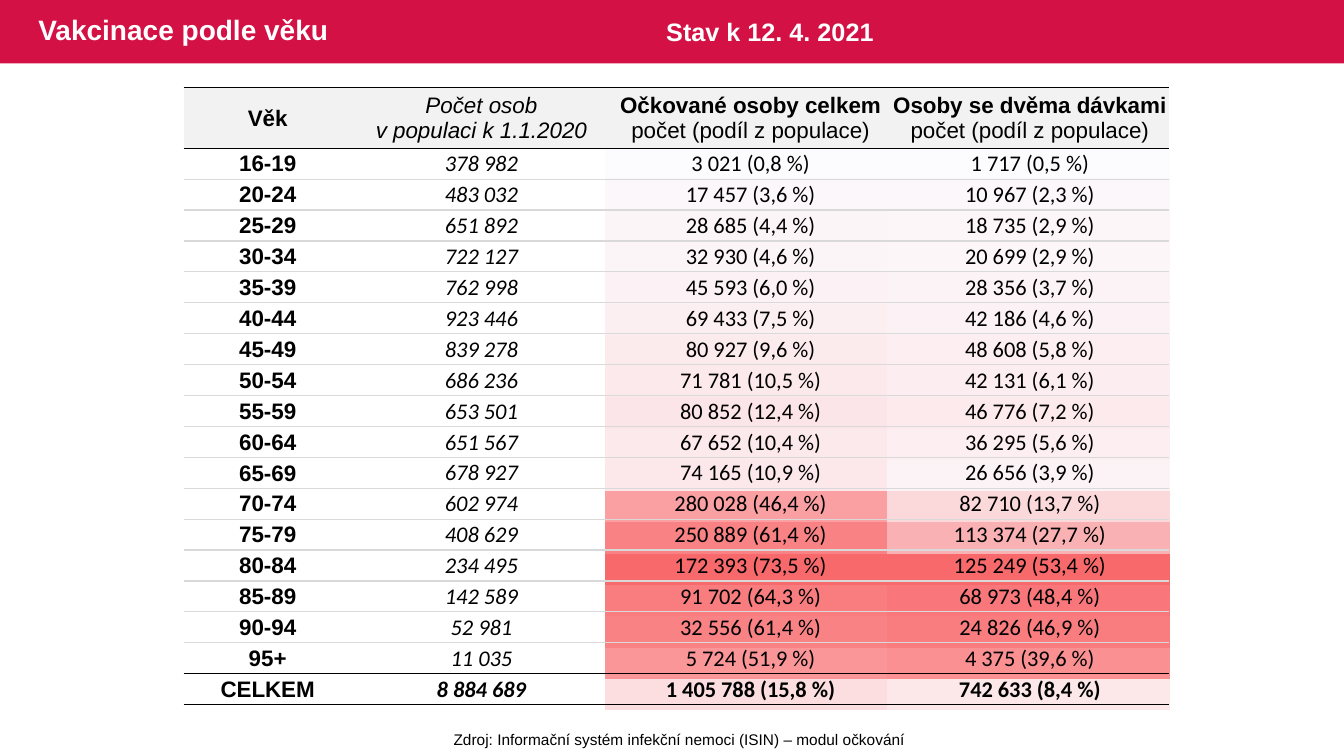
from dataclasses import dataclass

from lxml import etree
from pptx import Presentation
from pptx.dml.color import RGBColor
from pptx.enum import shapes, text
from pptx.oxml import ns
from pptx.util import Inches, Pt


@dataclass(frozen=True)
class Theme:
    red: str = "D31145"
    white: str = "FFFFFF"
    black: str = "000000"
    head: str = "F2F2F2"
    rule: str = "D9D9D9"
    sans: str = "Arial"
    digit: str = "Calibri"
    title: int = 20
    date: int = 18
    cell: int = 16
    note: int = 11


THEME = Theme()
PLAIN = "{2D5ABB26-0587-4C30-8999-92F81FD0307C}"  # table style without grid
ROW = 0.307

# Each heading line: text, bold, italic
HEADS = [
    [("Věk", True, False)],
    [("Počet osob", False, True), ("v populaci k 1.1.2020", False, True)],
    [("Očkované osoby celkem", True, False), ("počet (podíl z populace)", False, False)],
    [("Osoby se dvěma dávkami", True, False), ("počet (podíl z populace)", False, False)],
]

# Age, population, vaccinated, two doses, and the heat colours of the last two
AGES = [
    ("16-19", "378 982", "3 021 (0,8 %)", "1 717 (0,5 %)", "FCFCFF", "FCFCFF"),
    ("20-24", "483 032", "17 457 (3,6 %)", "10 967 (2,3 %)", "FCF7FA", "FCF7FA"),
    ("25-29", "651 892", "28 685 (4,4 %)", "18 735 (2,9 %)", "FCF5F8", "FCF6F9"),
    ("30-34", "722 127", "32 930 (4,6 %)", "20 699 (2,9 %)", "FCF5F8", "FCF6F9"),
    ("35-39", "762 998", "45 593 (6,0 %)", "28 356 (3,7 %)", "FCF2F5", "FCF3F6"),
    ("40-44", "923 446", "69 433 (7,5 %)", "42 186 (4,6 %)", "FCEFF2", "FCF1F4"),
    ("45-49", "839 278", "80 927 (9,6 %)", "48 608 (5,8 %)", "FCEBED", "FCEEF1"),
    ("50-54", "686 236", "71 781 (10,5 %)", "42 131 (6,1 %)", "FCE9EC", "FCEDF0"),
    ("55-59", "653 501", "80 852 (12,4 %)", "46 776 (7,2 %)", "FCE5E8", "FCEAED"),
    ("60-64", "651 567", "67 652 (10,4 %)", "36 295 (5,6 %)", "FCE9EC", "FCEEF1"),
    ("65-69", "678 927", "74 165 (10,9 %)", "26 656 (3,9 %)", "FCE8EB", "FCF3F6"),
    ("70-74", "602 974", "280 028 (46,4 %)", "82 710 (13,7 %)", "FAA0A3", "FBD8DA"),
    ("75-79", "408 629", "250 889 (61,4 %)", "113 374 (27,7 %)", "F98284", "FAB1B3"),
    ("80-84", "234 495", "172 393 (73,5 %)", "125 249 (53,4 %)", "F8696B", "F8696B"),
    ("85-89", "142 589", "91 702 (64,3 %)", "68 973 (48,4 %)", "F97C7E", "F9777A"),
    ("90-94", "52 981", "32 556 (61,4 %)", "24 826 (46,9 %)", "F98284", "F97C7E"),
    ("95+", "11 035", "5 724 (51,9 %)", "4 375 (39,6 %)", "FA9598", "FA9092"),
    ("CELKEM", "8 884 689", "1 405 788 (15,8 %)", "742 633 (8,4 %)", "FCDEE1", "FCE7E9"),
]


def set_font(para, size, color, bold=False, italic=False, name=THEME.sans):
    font = para.font
    font.name, font.size = name, Pt(size)
    font.bold, font.italic = bold, italic
    font.color.rgb = RGBColor.from_string(color)


def paint(item, color):
    item.fill.solid()
    item.fill.fore_color.rgb = RGBColor.from_string(color)


def add_band(slide):
    band = slide.shapes.add_shape(
        shapes.MSO_SHAPE.RECTANGLE, 0, 0, Inches(13.33), Inches(0.63))
    band.shadow.inherit = False
    paint(band, THEME.red)
    band.line.fill.background()
    slide.shapes._spTree.insert(2, band._element)  # behind the title


def add_title(slide, words):
    title = slide.shapes.title
    title.left, title.top = Inches(0.28), Inches(0)
    title.width, title.height = Inches(8.13), Inches(0.63)
    frame = title.text_frame
    frame.text = words
    frame.vertical_anchor = text.MSO_ANCHOR.MIDDLE
    para = frame.paragraphs[0]
    para.alignment = text.PP_ALIGN.LEFT
    para.line_spacing = 0.9
    set_font(para, THEME.title, THEME.white, bold=True)


def add_label(slide, words, place, size, color, bold=False, wrap=True,
              align=text.PP_ALIGN.LEFT):
    frame = slide.shapes.add_textbox(*map(Inches, place)).text_frame
    frame.word_wrap = wrap
    frame.auto_size = text.MSO_AUTO_SIZE.SHAPE_TO_FIT_TEXT
    frame.text = words
    frame.paragraphs[0].alignment = align
    set_font(frame.paragraphs[0], size, color, bold)


def add_grid(slide, left, top, widths, heights):
    frame = slide.shapes.add_table(
        len(heights), len(widths), Inches(left), Inches(top),
        Inches(sum(widths)), Inches(sum(heights)))
    table = frame.table
    table.first_row = table.horz_banding = False
    table._tbl.tblPr.find(ns.qn("a:tableStyleId")).text = PLAIN
    for col, width in zip(table.columns, widths):
        col.width = Inches(width)
    for row, height in zip(table.rows, heights):
        row.height = Inches(height)
    for cell in table.iter_cells():
        cell.margin_left = cell.margin_right = cell.margin_top = Inches(0.01)
        cell.margin_bottom = 0
        cell.vertical_anchor = text.MSO_ANCHOR.MIDDLE
        cell.fill.background()
    return table


def rule_cell(cell, top, bottom):
    props = cell._tc.get_or_add_tcPr()
    for spot, (tag, color) in enumerate((("a:lnT", top), ("a:lnB", bottom))):
        line = etree.Element(ns.qn(tag), w=str(Pt(1)))
        fill = etree.SubElement(line, ns.qn("a:solidFill"))
        etree.SubElement(fill, ns.qn("a:srgbClr"), val=color)
        props.insert(spot, line)


def fill_cell(cell, lines, name=THEME.sans):
    frame = cell.text_frame
    frame.text = "\n".join(line[0] for line in lines)
    for para, (_, bold, italic) in zip(frame.paragraphs, lines):
        para.alignment = text.PP_ALIGN.CENTER
        set_font(para, THEME.cell, THEME.black, bold, italic, name)


def add_heat(slide):
    table = add_grid(slide, 6, 1.46, [2.8] * 2, [ROW] * len(AGES))
    for row, age in enumerate(AGES):
        for col, color in enumerate(age[4:]):
            paint(table.cell(row, col), color)


def add_ages(slide):
    table = add_grid(slide, 1.82, 0.87, [1.67, 2.57, 2.77, 2.77],
                     [0.6] + [ROW] * len(AGES))
    last = len(AGES)
    # Black rules frame the heading and the total
    rules = [THEME.rule] * (last + 2)
    for edge in (0, 1, last, last + 1):
        rules[edge] = THEME.black
    for col, lines in enumerate(HEADS):
        cell = table.cell(0, col)
        fill_cell(cell, lines)
        paint(cell, THEME.head)
    for row, age in enumerate(AGES, 1):
        for col, words in enumerate(age[:4]):
            bold = col == 0 or row == last
            name = THEME.digit if col else THEME.sans
            fill_cell(table.cell(row, col), [(words, bold, col == 1)], name)
    for row in range(last + 1):
        for col in range(len(HEADS)):
            rule_cell(table.cell(row, col), rules[row], rules[row + 1])


def main():
    prs = Presentation()
    prs.slide_width, prs.slide_height = Inches(13.33), Inches(7.5)
    slide = prs.slides.add_slide(prs.slide_layouts[5])
    # Heading band
    add_band(slide)
    add_title(slide, "Vakcinace podle věku")
    add_label(slide, "Stav k 12. 4. 2021", (6.51, 0.11, 2.96, 0.4),
              THEME.date, THEME.white, bold=True)
    # Heat colours under the age table
    add_heat(slide)
    add_ages(slide)
    # Source
    add_label(slide, "Zdroj: Informační systém infekční nemoci (ISIN) – modul očkování",
              (4.39, 7.19, 4.7, 0.29), THEME.note, THEME.black,
              wrap=False, align=text.PP_ALIGN.CENTER)
    prs.save("out.pptx")


if __name__ == "__main__":
    main()
